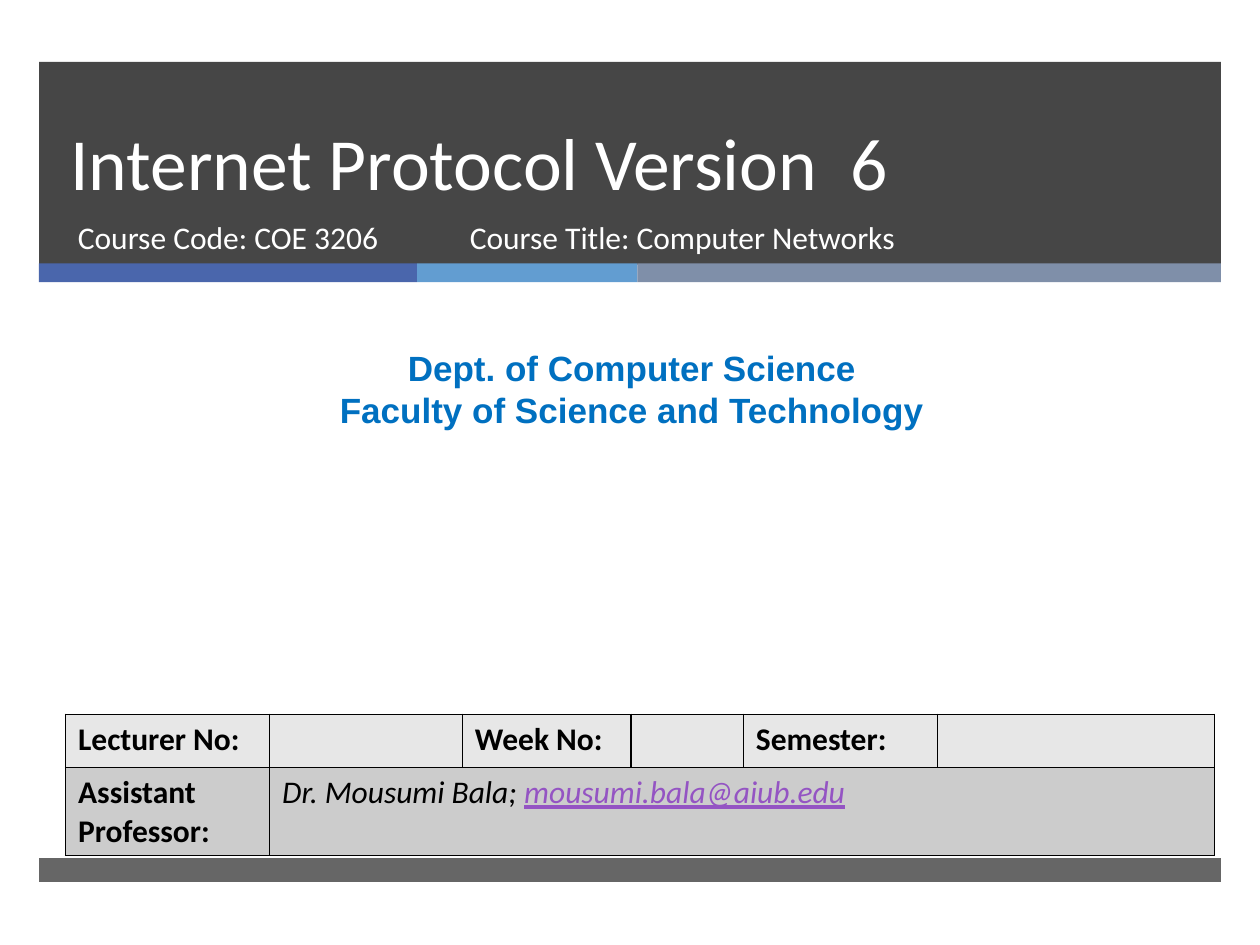
from lxml.etree import SubElement
from pptx import Presentation
from pptx.dml.color import RGBColor
from pptx.enum.shapes import MSO_SHAPE
from pptx.enum.text import MSO_ANCHOR, MSO_AUTO_SIZE, PP_ALIGN
from pptx.oxml.ns import qn
from pptx.util import Inches, Pt

WHITE = RGBColor(0xFF, 0xFF, 0xFF)
BLACK = RGBColor(0, 0, 0)
CHARCOAL = RGBColor(0x26, 0x26, 0x26)
INDIGO = RGBColor(0x4A, 0x66, 0xAC)
SKY = RGBColor(0x62, 0x9D, 0xD1)
SLATE = RGBColor(0x7F, 0x8F, 0xA9)
DEPARTMENT_BLUE = RGBColor(0x00, 0x70, 0xC0)
EMAIL_PURPLE = RGBColor(0x94, 0x54, 0xC3)
ROW_LIGHT = RGBColor(0xE7, 0xE7, 0xE7)
ROW_DARK = RGBColor(0xCC, 0xCC, 0xCC)


def add_span(para, text, size, color, name="Calibri", bold=False, italic=False):
    span = para.add_run()
    span.text = text
    font = span.font
    font.name, font.size, font.bold, font.italic = name, Pt(size), bold, italic
    font.color.rgb = color
    return span


def add_box(left, top, width, height):
    box = page.shapes.add_textbox(Inches(left), Inches(top), Inches(width), Inches(height))
    box.text_frame.word_wrap = True
    return box.text_frame


deck = Presentation()
deck.slide_width, deck.slide_height = Inches(10), Inches(7.5)
page = deck.slides.add_slide(deck.slide_layouts[5])

bands = [
    (0.31, 0.49, 9.38, 1.61, CHARCOAL, 85),
    (0.31, 2.09, 3, 0.15, INDIGO, 100),
    (3.31, 2.09, 1.75, 0.15, SKY, 100),
    (5.06, 2.09, 4.63, 0.15, SLATE, 100),
    (0.31, 6.81, 9.38, 0.19, CHARCOAL, 70),
]
for left, top, width, height, color, opacity in bands:
    band = page.shapes.add_shape(
        MSO_SHAPE.RECTANGLE, Inches(left), Inches(top), Inches(width), Inches(height))
    band.shadow.inherit = False
    band.line.fill.background()
    band.fill.solid()
    band.fill.fore_color.rgb = color
    if opacity < 100:
        tone = band.element.spPr.find(qn("a:solidFill")).find(qn("a:srgbClr"))
        SubElement(tone, qn("a:alpha"), val=str(opacity * 1000))

title = page.shapes.title
title.left, title.top = Inches(0.46), Inches(0.49)
title.width, title.height = Inches(8.54), Inches(1.19)
title.element.getparent().append(title.element)
frame = title.text_frame
frame.word_wrap = True
frame.auto_size = MSO_AUTO_SIZE.NONE
frame.vertical_anchor = MSO_ANCHOR.BOTTOM
para = frame.paragraphs[0]
para.alignment = PP_ALIGN.LEFT
para.line_spacing = Pt(46)
add_span(para, "Internet Protocol Version  6", 42, WHITE)

for left, width, text in [(0.52, 3.1, "Course Code: COE 3206"),
                          (3.63, 4.55, "Course Title: Computer Networks")]:
    add_span(add_box(left, 1.68, width, 0.53).paragraphs[0], text, 18, WHITE)

department = add_box(0.08, 2.7, 9.87, 0.77)
department.auto_size = MSO_AUTO_SIZE.SHAPE_TO_FIT_TEXT
for index, text in enumerate(["Dept. of Computer Science", "Faculty of Science and Technology"]):
    para = department.add_paragraph() if index else department.paragraphs[0]
    para.alignment = PP_ALIGN.CENTER
    add_span(para, text, 20, DEPARTMENT_BLUE, "Arial", bold=True)

table = page.shapes.add_table(
    2, 6, Inches(0.52), Inches(5.67), Inches(9.12), Inches(1.12)).table
for column, width in zip(table.columns, [1.62, 1.53, 1.34, 0.89, 1.54, 2.2]):
    column.width = Inches(width)
for row, height, color in zip(table.rows, [0.42, 0.7], [ROW_LIGHT, ROW_DARK]):
    row.height = Inches(height)
    for cell in row.cells:
        properties = cell._tc.get_or_add_tcPr()
        for side in ["a:lnL", "a:lnR", "a:lnT", "a:lnB"]:
            border = SubElement(properties, qn(side), w=str(Pt(1)))
            SubElement(SubElement(border, qn("a:solidFill")), qn("a:srgbClr"), val=str(BLACK))
        cell.fill.solid()
        cell.fill.fore_color.rgb = color
table.cell(1, 1).merge(table.cell(1, 5))

labels = [(0, 0, "Lecturer No:"), (0, 2, "Week No:"), (0, 4, "Semester:"),
          (1, 0, "Assistant Professor:")]
for row, column, text in labels:
    para = table.cell(row, column).text_frame.paragraphs[0]
    add_span(para, text, 18, BLACK, bold=True)
para = table.cell(1, 1).text_frame.paragraphs[0]
add_span(para, "Dr. Mousumi Bala; ", 18, BLACK, italic=True)
email = add_span(para, "mousumi.bala@aiub.edu", 18, EMAIL_PURPLE, italic=True)
email.font.underline = True

deck.save("out.pptx")
